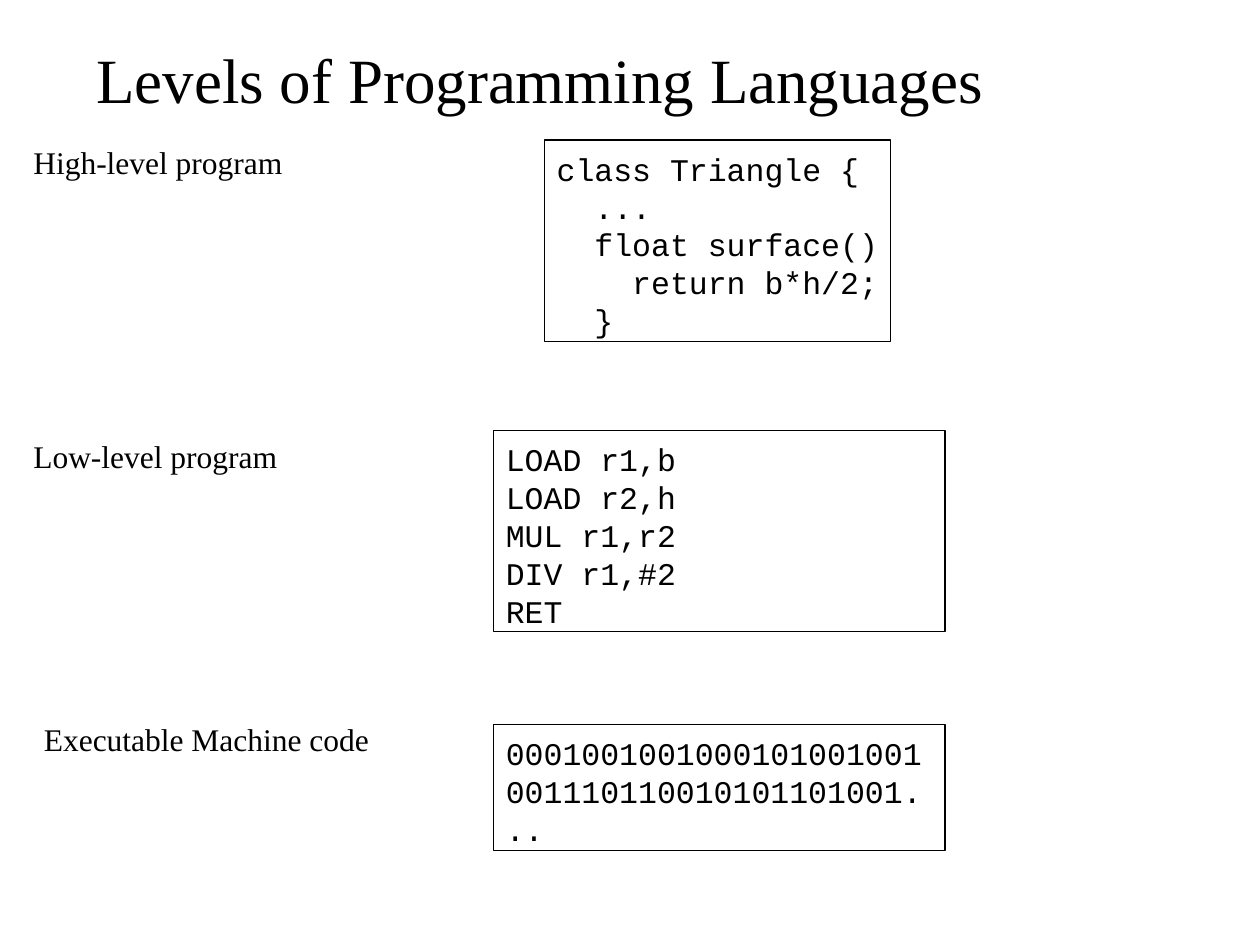
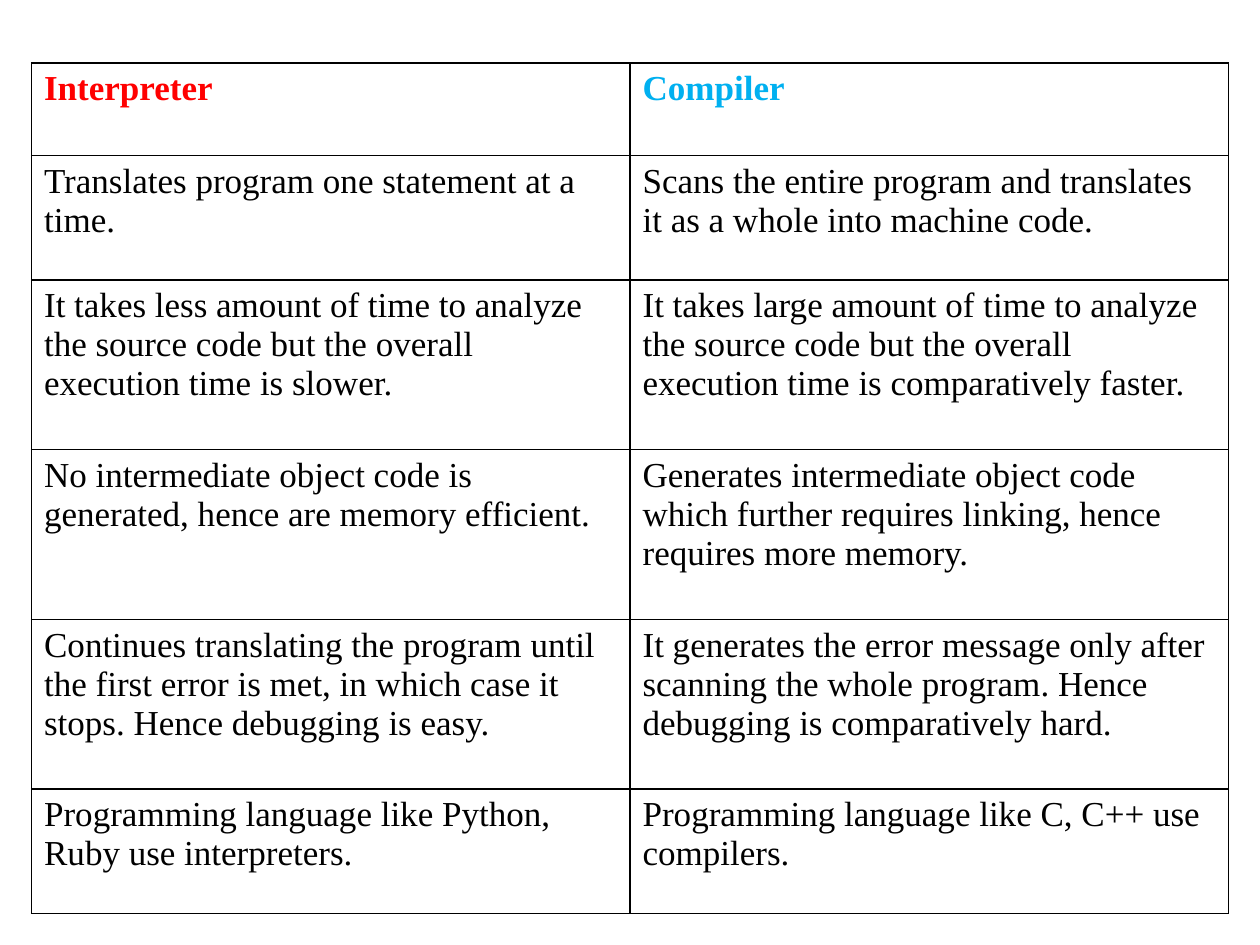
from pptx import Presentation
from pptx.dml.color import RGBColor
from pptx.enum.shapes import MSO_SHAPE
from pptx.enum.text import MSO_ANCHOR, PP_ALIGN
from pptx.oxml.ns import qn
from pptx.util import Pt
from lxml.etree import SubElement

COLORS = {"ink": "000000", "paper": "FFFFFF", "red": "FF0000", "blue": "00B0F0"}
SERIF, MONO = "Times New Roman", "Courier New"
INDENT = 21.6

LEVELS = [
    ("High-level program", (12, 78, 452, 29), (311, 80, 198, 115), False,
     [(0, "class Triangle {"), (1, "..."), (1, "float surface()"),
      (2, "return b*h/2;"), (1, "}")]),
    ("Low-level program", (12, 246, 216, 29), (282, 246, 258, 115), True,
     [(0, "LOAD r1,b"), (0, "LOAD r2,h"), (0, "MUL r1,r2"),
      (0, "DIV r1,#2"), (0, "RET")]),
    ("Executable Machine code", (18, 408, 270, 29), (282, 414, 258, 72), True,
     [(0, "0001001001000101001001001110110010101101001...")]),
]

ROWS = [
    (53, "Interpreter", "Compiler"),
    (71, "Translates program one statement at a time.",
     "Scans the entire program and translates it as a whole into machine code."),
    (97, "It takes less amount of time to analyze the source code but the "
     "overall execution time is slower.",
     "It takes large amount of time to analyze the source code but the "
     "overall execution time is comparatively faster."),
    (97, "No intermediate object code is generated, hence are memory efficient.",
     "Generates intermediate object code which further requires linking, "
     "hence requires more memory."),
    (97, "Continues translating the program until the first error is met, "
     "in which case it stops. Hence debugging is easy.",
     "It generates the error message only after scanning the whole program. "
     "Hence debugging is comparatively hard."),
    (71, "Programming language like Python, Ruby use interpreters.",
     "Programming language like C, C++ use compilers."),
]


def tint(name):
    """Return the named colour."""
    return RGBColor.from_string(COLORS[name])


def style(para, size, face=SERIF, color="ink", bold=False, pitch=None):
    """Format every run of a paragraph."""
    para.alignment = PP_ALIGN.LEFT
    if pitch:
        para.line_spacing = Pt(pitch)
    for run in para.runs:
        font = run.font
        font.size, font.name, font.bold = Pt(size), face, bold
        font.color.rgb = tint(color)


def label(slide, box, text, size, anchor=MSO_ANCHOR.TOP):
    """Place one line of serif text in a box."""
    frame = slide.shapes.add_textbox(*map(Pt, box)).text_frame
    frame.word_wrap = True
    frame.vertical_anchor = anchor
    frame.text = text
    style(frame.paragraphs[0], size)


def listing(slide, box, lines, wrap):
    """Draw a framed code listing with indented lines."""
    panel = slide.shapes.add_shape(MSO_SHAPE.RECTANGLE, *map(Pt, box))
    panel.shadow.inherit = False
    panel.fill.solid()
    panel.fill.fore_color.rgb = tint("paper")
    panel.line.color.rgb = tint("ink")
    panel.line.width = Pt(0.75)
    frame = panel.text_frame
    frame.word_wrap = wrap
    frame.vertical_anchor = MSO_ANCHOR.TOP
    frame.margin_top = Pt(5.6)
    frame.text = "\n".join(text for _, text in lines)
    for para, (depth, _) in zip(frame.paragraphs, lines):
        style(para, 18, MONO, pitch=21.6)
        if depth:
            para._p.get_or_add_pPr().set("marL", str(Pt(depth * INDENT)))


def border(cell):
    """Rule all four sides of a cell."""
    props = cell._tc.get_or_add_tcPr()
    for side in ("a:lnL", "a:lnR", "a:lnT", "a:lnB"):
        line = SubElement(props, qn(side), w=str(Pt(1)))
        fill = SubElement(line, qn("a:solidFill"))
        SubElement(fill, qn("a:srgbClr"), val=COLORS["ink"])


def grid(slide, box, rows):
    """Build the two-column comparison table."""
    table = slide.shapes.add_table(len(rows), 2, *map(Pt, box)).table
    table.first_row = table.horz_banding = False
    for col in table.columns:
        col.width = Pt(box[2] / 2)
    for r, (height, *texts) in enumerate(rows):
        table.rows[r].height = Pt(height)
        for c, text in enumerate(texts):
            cell = table.cell(r, c)
            cell.text = text
            color = "ink" if r else ("red", "blue")[c]
            style(cell.text_frame.paragraphs[0], 20, color=color,
                  bold=r == 0, pitch=22.3)
            border(cell)
            cell.fill.solid()
            cell.fill.fore_color.rgb = tint("paper")


def levels(slide):
    """Fill the slide that shows the three language levels."""
    label(slide, (48, 0, 652, 90), "Levels of Programming Languages", 36,
          MSO_ANCHOR.MIDDLE)
    for name, place, box, wrap, lines in LEVELS:
        label(slide, place, name, 18)
        listing(slide, box, lines, wrap)


def main():
    """Build and save both slides."""
    deck = Presentation()
    deck.slide_width, deck.slide_height = Pt(720), Pt(540)
    blank = deck.slide_layouts[6]
    levels(deck.slides.add_slide(blank))
    grid(deck.slides.add_slide(blank), (18, 36, 684, 486), ROWS)
    deck.save("out.pptx")


if __name__ == "__main__":
    main()
